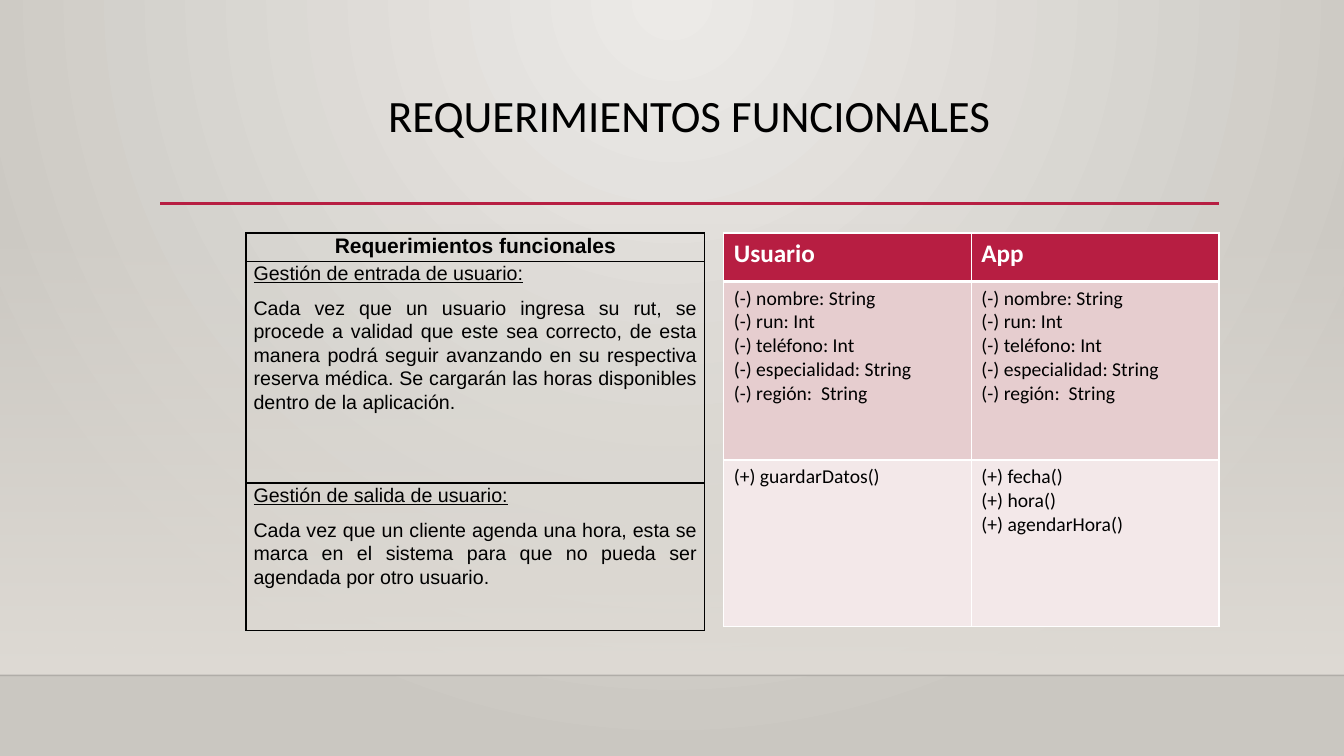
from dataclasses import dataclass

from lxml.etree import SubElement
from pptx import Presentation
from pptx.dml.color import RGBColor
from pptx.enum.shapes import MSO_CONNECTOR as CONN, MSO_SHAPE as SHAPE
from pptx.enum.text import MSO_ANCHOR as ANCHOR, PP_ALIGN as ALIGN
from pptx.oxml import parse_xml
from pptx.oxml.ns import nsdecls, qn
from pptx.util import Cm, Pt


@dataclass(frozen=True)
class Theme:
    """Colours, fonts and type sizes of the slide."""
    ink: str = "000000"
    white: str = "FFFFFF"
    accent: str = "B71E42"
    band_dark: str = "E6CDCF"
    band_light: str = "F3E8E9"
    bg_inner: str = "ECEAE7"
    bg_outer: str = "CAC7C1"
    wall: str = "DFDBD5"
    sans: str = "Calibri"
    doc: str = "Arial"
    title: int = 32
    head: int = 18
    doc_head: int = 15
    body: int = 14


T = Theme()
WIDTH, HEIGHT = 33.87, 19.05
FLOOR_Y = 17.02
TABLE_Y = 5.87

REQUIREMENTS = [
    ("Gestión de entrada de usuario:",
     "Cada vez que un usuario ingresa su rut, se procede a validad que este sea "
     "correcto, de esta manera podrá seguir avanzando en su respectiva reserva "
     "médica. Se cargarán las horas disponibles dentro de la aplicación."),
    ("Gestión de salida de usuario:",
     "Cada vez que un cliente agenda una hora, esta se marca en el sistema para "
     "que no pueda ser agendada por otro usuario."),
]
ATTRIBUTES = ["(-) nombre: String", "(-) run: Int", "(-) teléfono: Int",
              "(-) especialidad: String", "(-) región:  String"]
CLASSES = [
    ("Usuario", ATTRIBUTES, ["(+) guardarDatos()"]),
    ("App", ATTRIBUTES, ["(+) fecha()", "(+) hora()", "(+) agendarHora()"]),
]


def add_text(p, text, *, size=T.body, font=T.sans, color=T.ink, bold=False,
             underline=False, align=ALIGN.LEFT, spacing=None, after=0):
    """Write one formatted run into paragraph p."""
    p.alignment, p.space_after = align, Pt(after)
    if spacing:
        p.line_spacing = spacing
    r = p.add_run()
    r.text = text
    f = r.font
    f.size, f.name, f.bold, f.underline = Pt(size), font, bold, underline
    f.color.rgb = RGBColor.from_string(color)


def add_lines(tf, lines, **fmt):
    """Write each line as a paragraph of its own."""
    for i, line in enumerate(lines):
        add_text(tf.add_paragraph() if i else tf.paragraphs[0], line, **fmt)


def gradient(stops, direction):
    """Return a gradient fill from (position, colour, alpha) stops."""
    gs = "".join(
        f'<a:gs pos="{pos * 1000}"><a:srgbClr val="{color}">'
        f'<a:alpha val="{alpha * 1000}"/></a:srgbClr></a:gs>'
        for pos, color, alpha in stops)
    return parse_xml(f'<a:gradFill {nsdecls("a")} rotWithShape="1">'
                     f'<a:gsLst>{gs}</a:gsLst>{direction}</a:gradFill>')


def set_background(s):
    """Light the slide from the top centre."""
    s.background.fill.solid()
    bg_pr = s.background._cSld.bg.bgPr
    glow = gradient([(0, T.bg_inner, 100), (100, T.bg_outer, 100)],
                    '<a:path path="circle"><a:fillToRect l="43000" t="0" '
                    'r="43000" b="100000"/></a:path>')
    bg_pr.replace(bg_pr.find(qn("a:solidFill")), glow)


def add_wall(s, top, bottom):
    """Add the rectangle that fades in towards the floor."""
    sp = s.shapes.add_shape(SHAPE.RECTANGLE, 0, Cm(top), Cm(WIDTH), Cm(bottom - top))
    sp.shadow.inherit = False
    sp.line.fill.background()
    sp.fill.solid()
    sp_pr = sp._element.spPr
    fade = gradient([(0, T.wall, 0), (100, T.wall, 100)],
                    '<a:lin ang="5400000" scaled="0"/>')
    sp_pr.replace(sp_pr.find(qn("a:solidFill")), fade)


def add_rule(s, x1, x2, y, color, width, alpha=100):
    """Add a horizontal line."""
    line = s.shapes.add_connector(CONN.STRAIGHT, Cm(x1), Cm(y), Cm(x2), Cm(y))
    line.line.color.rgb = RGBColor.from_string(color)
    line.line.width = Pt(width)
    sp_pr = line._element.spPr
    SubElement(sp_pr.find(".//" + qn("a:srgbClr")), qn("a:alpha"), val=str(alpha * 1000))
    SubElement(sp_pr, qn("a:effectLst"))


def set_title(s, text):
    """Place and format the title placeholder."""
    sp = s.shapes.title
    sp.left, sp.top, sp.width, sp.height = Cm(4.04), Cm(2.24), Cm(26.67), Cm(2.92)
    tf = sp.text_frame
    tf.vertical_anchor, tf.word_wrap = ANCHOR.TOP, True
    add_text(tf.paragraphs[0], text, size=T.title, align=ALIGN.CENTER, spacing=0.9)


def add_grid(s, left, top, cols, rows):
    """Add an unbanded table with the given column widths and row heights."""
    table = s.shapes.add_table(len(rows), len(cols), Cm(left), Cm(top),
                               Cm(sum(cols)), Cm(sum(rows))).table
    table.first_row = table.horz_banding = False
    for col, width in zip(table.columns, cols):
        col.width = Cm(width)
    for row, height in zip(table.rows, rows):
        row.height = Cm(height)
    return table


def style_cell(cell, border, fill=None, top=1, bottom=1):
    """Set the fill and the four borders of a cell."""
    if fill:
        cell.fill.solid()
        cell.fill.fore_color.rgb = RGBColor.from_string(fill)
    else:
        cell.fill.background()
    widths = {"lnL": 1, "lnR": 1, "lnT": top, "lnB": bottom}
    for i, (side, width) in enumerate(widths.items()):
        cell._tc.get_or_add_tcPr().insert(i, parse_xml(
            f'<a:{side} {nsdecls("a")} w="{Pt(width)}"><a:solidFill>'
            f'<a:srgbClr val="{border}"/></a:solidFill></a:{side}>'))


def add_requirements(s):
    """Add the outlined table of requirements."""
    table = add_grid(s, 6.2, TABLE_Y, [11.56], [0.71, 5.59, 3.71])
    for cell in table.iter_cells():
        style_cell(cell, T.ink)
        cell.margin_left = cell.margin_right = Cm(0.19)
        cell.margin_top = cell.margin_bottom = 0
    fmt = dict(font=T.doc, spacing=1.07, after=8)
    add_text(table.cell(0, 0).text_frame.paragraphs[0], "Requerimientos funcionales",
             size=T.doc_head, bold=True, align=ALIGN.CENTER, **fmt)
    for row, (name, detail) in enumerate(REQUIREMENTS, 1):
        tf = table.cell(row, 0).text_frame
        add_text(tf.paragraphs[0], name, underline=True, align=ALIGN.JUSTIFY, **fmt)
        add_text(tf.add_paragraph(), detail, align=ALIGN.JUSTIFY, **fmt)


def add_classes(s):
    """Add the table of classes, one column for each class."""
    table = add_grid(s, 18.24, TABLE_Y, [6.24] * 2, [1.22, 4.5, 4.19])
    for col, (name, attributes, methods) in enumerate(CLASSES):
        head, upper, lower = (table.cell(row, col) for row in range(3))
        style_cell(head, T.white, T.accent, bottom=3)
        style_cell(upper, T.white, T.band_dark, top=3)
        style_cell(lower, T.white, T.band_light)
        add_lines(head.text_frame, [name], size=T.head, color=T.white, bold=True)
        add_lines(upper.text_frame, attributes)
        add_lines(lower.text_frame, methods)


def main():
    """Build the slide and save it."""
    prs = Presentation()
    prs.slide_width, prs.slide_height = Cm(WIDTH), Cm(HEIGHT)
    s = prs.slides.add_slide(prs.slide_layouts[5])
    set_background(s)
    add_wall(s, 5.61, FLOOR_Y)
    add_rule(s, 0, WIDTH, FLOOR_Y, T.ink, 1, alpha=20)
    add_rule(s, 4.04, 30.73, 5.13, T.accent, 2.5)
    set_title(s, "REQUERIMIENTOS FUNCIONALES")
    add_requirements(s)
    add_classes(s)
    prs.save("out.pptx")


main()
